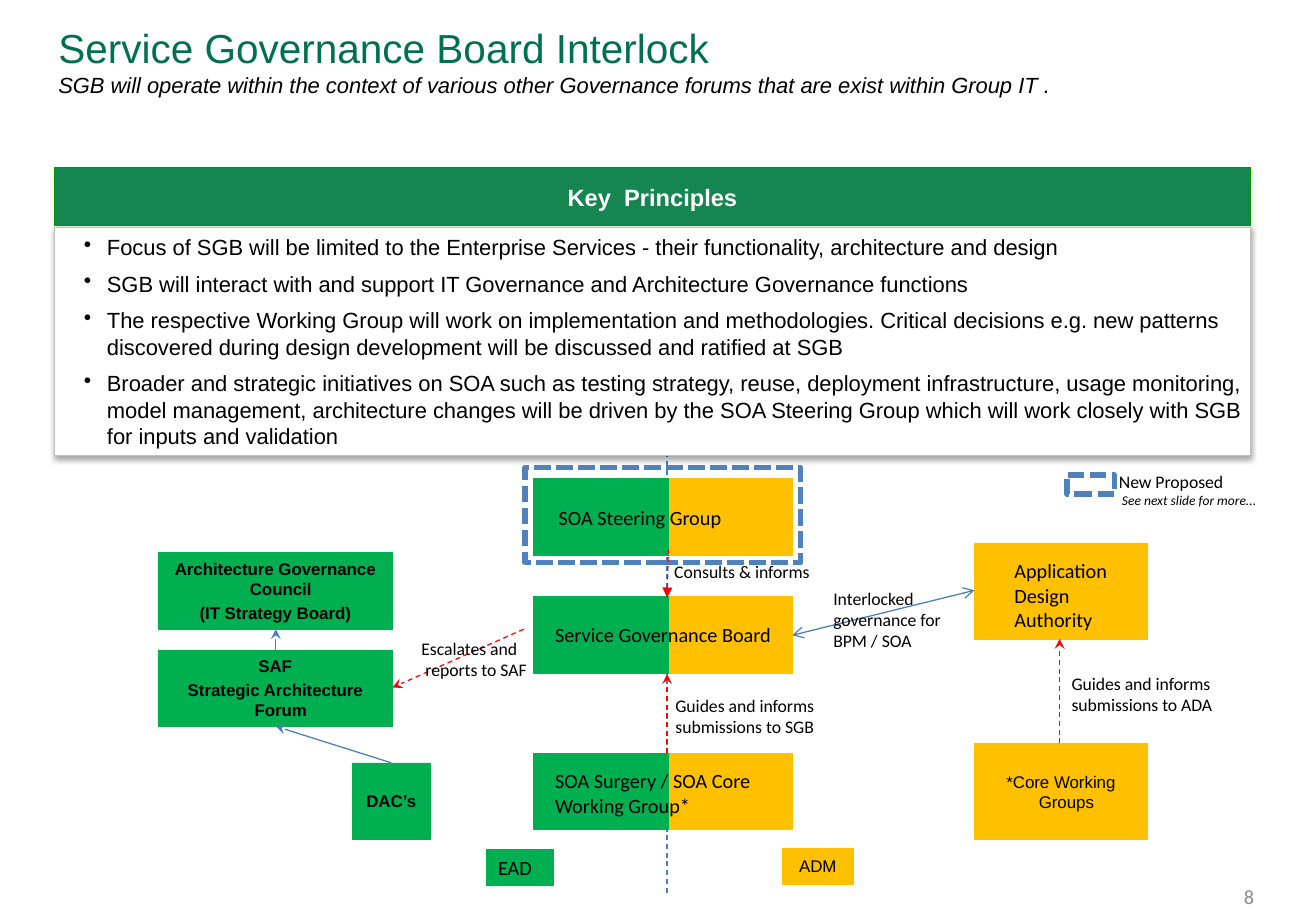
import pptx
import pptx.util
import pptx.dml.color
import pptx.enum.dml
import pptx.enum.shapes
import pptx.enum.text
import pptx.oxml
import pptx.oxml.ns

COLUMNS, ROWS = 108.3, 75  # square grid cells
CELL = 0.1  # inches
GREEN, AMBER, BLUE, RED = "00B050", "FFC000", "4B7EBC", "FF0000"
BLACK, WHITE, PROPOSED = "000000", "FFFFFF", "4F81BD"
ALIGN = pptx.enum.text.PP_ALIGN
ANCHOR = pptx.enum.text.MSO_ANCHOR
DASH = pptx.enum.dml.MSO_LINE

PRINCIPLES = [
    "Focus of SGB will be limited to the Enterprise Services - their functionality, "
    "architecture and design",
    "SGB will interact with and support IT Governance and Architecture Governance functions",
    "The respective Working Group will work on implementation and methodologies. Critical "
    "decisions e.g. new patterns discovered during design development will be discussed "
    "and ratified at SGB",
    "Broader and strategic initiatives on SOA such as testing strategy, reuse, deployment "
    "infrastructure, usage monitoring, model management, architecture changes will be driven "
    "by the SOA Steering Group which will work closely with SGB for inputs and validation",
]


def grid(*cells):
    return [pptx.util.Inches(cell * CELL) for cell in cells]


def rgb(color):
    return pptx.dml.color.RGBColor.from_string(color)


def add_xml(parent, tag, content="", **attributes):
    listed = "".join(f' {name}="{value}"' for name, value in attributes.items())
    parent.append(pptx.oxml.parse_xml(
        f'<a:{tag} {pptx.oxml.ns.nsdecls("a")}{listed}>{content}</a:{tag}>'))


def set_font(font, size, name="Arial", color=BLACK, bold=False, italic=False):
    font.size, font.name = pptx.util.Pt(size), name
    font.bold, font.italic = bold, italic
    font.color.rgb = rgb(color)


def write(shape, lines, size, name="Arial", color=BLACK, bold=False, align=ALIGN.LEFT,
          anchor=ANCHOR.TOP, space=0, indent=None, bullet=False):
    frame = shape.text_frame
    frame.word_wrap, frame.vertical_anchor = True, anchor
    frame.text = "\n".join(lines)
    for paragraph in frame.paragraphs:
        paragraph.alignment, paragraph.space_before = align, pptx.util.Pt(space)
        set_font(paragraph.font, size, name, color, bold)
        properties = paragraph._p.get_or_add_pPr()
        if indent:
            margin, first = grid(*indent)
            properties.set("marL", str(margin))
            properties.set("indent", str(first))
        if bullet:
            properties.insert_element_before(pptx.oxml.parse_xml(
                f'<a:buChar {pptx.oxml.ns.nsdecls("a")} char="•"/>'), "a:defRPr")
    return frame


def set_insets(frame, across, down):
    frame.margin_left = frame.margin_right = grid(across)[0]
    frame.margin_top = frame.margin_bottom = grid(down)[0]


def add_box(slide, place, fill=None, line=None, width=0.25, dash=None):
    shape = slide.shapes.add_shape(pptx.enum.shapes.MSO_SHAPE.RECTANGLE, *grid(*place))
    shape.shadow.inherit = False
    if fill:
        shape.fill.solid()
        shape.fill.fore_color.rgb = rgb(fill)
    else:
        shape.fill.background()
    shape.line.color.rgb = rgb(line or fill)
    shape.line.width = pptx.util.Pt(width)
    if dash:
        shape.line.dash_style = dash
    return shape


def add_forum(slide, place, fill, lines, bold=False):
    write(add_box(slide, place, fill), lines, 10, bold=bold, align=ALIGN.CENTER,
          anchor=ANCHOR.MIDDLE, space=2, indent=(0.9, -0.9))


def add_label(slide, place, lines, size=10.5, **options):
    label = slide.shapes.add_textbox(*grid(*place))
    return write(label, lines, size, "Calibri", **options)


def add_shared_forum(slide, top, text, label_left, label_top):
    """Box shared by both departments, green half in front of the amber half."""
    add_box(slide, (52.6, top, 12.6, 6.3), AMBER)
    add_box(slide, (43.9, top, 11.1, 6.3), GREEN)
    add_label(slide, (label_left, label_top, 21.4, 3), [text], 12)


def add_arrow(slide, start, end, color, dash=None, head=None, tail=None):
    connector = slide.shapes.add_connector(
        pptx.enum.shapes.MSO_CONNECTOR.STRAIGHT, *grid(*start, *end))
    connector.line.color.rgb = rgb(color)
    connector.line.width = pptx.util.Pt(0.75)
    if dash:
        connector.line.dash_style = dash
    for tag, kind in (("headEnd", head), ("tailEnd", tail)):
        if kind:
            add_xml(connector.line._get_or_add_ln(), tag, type=kind)
    add_xml(connector._element.spPr, "effectLst")


def add_shadow(shape, color, opacity, blur, distance):
    effects = shape._element.spPr.find(pptx.oxml.ns.qn("a:effectLst"))
    add_xml(effects, "outerShdw",
            f'<a:srgbClr val="{color}"><a:alpha val="{opacity * 1000}"/></a:srgbClr>',
            blurRad=pptx.util.Pt(blur), dist=pptx.util.Pt(distance), dir=90 * 60000,
            algn="t", rotWithShape=0)


def add_title(slide):
    title = slide.shapes.title
    title.left, title.top, title.width, title.height = grid(3.8, 1.4, 87.6, 9.7)
    frame = title.text_frame
    frame.auto_size = pptx.enum.text.MSO_AUTO_SIZE.NONE
    frame.vertical_anchor = ANCHOR.TOP
    paragraph = frame.paragraphs[0]
    paragraph.alignment = ALIGN.LEFT
    heading = paragraph.add_run()
    heading.text = "Service Governance Board Interlock"
    set_font(heading.font, 24, color="00714F")
    paragraph.add_line_break()
    subtitle = paragraph.add_run()
    subtitle.text = ("SGB will operate within the context of various other Governance forums "
                     "that are exist within Group IT .")
    set_font(subtitle.font, 13, italic=True)


def add_principles(slide):
    header = add_box(slide, (4.5, 13.8, 98.4, 4.8), "15864F", "009900", 0.75)
    add_shadow(header, "EEECE1", 100, 4, 4)
    set_insets(write(header, ["Key  Principles"], 14, color=WHITE, bold=True,
                     align=ALIGN.CENTER, anchor=ANCHOR.MIDDLE), 0, 0.8)
    panel = add_box(slide, (4.5, 18.7, 98.4, 18.8), WHITE, "BFBFBF", 0.75)
    add_shadow(panel, "000000", 35, 3.1, 1.8)
    set_insets(write(panel, PRINCIPLES, 13, anchor=ANCHOR.MIDDLE, space=6,
                     indent=(3.9, -1.9), bullet=True), 0.4, 0.5)


def add_forums(slide):
    # Architecture forums
    add_forum(slide, (13, 45.5, 19.3, 6.3), GREEN,
              ["Architecture Governance Council", "(IT Strategy Board)"], True)
    add_forum(slide, (13, 53.5, 19.3, 6.3), GREEN, ["SAF", "Strategic Architecture Forum"], True)
    add_forum(slide, (29, 62.8, 6.4, 6.3), GREEN, ["DAC’s"], True)
    # Shared forums
    add_shared_forum(slide, 39.4, "SOA Steering Group", 45, 41.1)
    add_shared_forum(slide, 49.1, "Service Governance Board", 44.7, 50.7)
    add_shared_forum(slide, 62, "SOA Surgery / SOA Core Working Group*", 44.7, 62.8)
    add_box(slide, (43.2, 38.5, 22.7, 7.8), None, PROPOSED, 3.25, DASH.SQUARE_DOT)
    # Application forums
    add_box(slide, (80.2, 44.7, 14.2, 7.9), AMBER)
    add_label(slide, (82.5, 45.5, 11, 7.1), ["Application", "Design", "Authority"], 12)
    add_forum(slide, (80.2, 61.2, 14.2, 7.9), AMBER, ["*Core Working Groups"])
    # Department keys
    write(add_box(slide, (40, 69.9, 5.5, 3), GREEN), ["EAD"], 12, "Calibri")
    add_forum(slide, (64.4, 69.8, 5.8, 3), AMBER, ["ADM"])


def add_flows(slide):
    add_arrow(slide, (32.2, 62.8), (22.7, 59.8), BLUE, tail="stealth")
    add_arrow(slide, (22.7, 53.5), (22.7, 51.8), BLUE, tail="stealth")
    add_arrow(slide, (65.2, 52.3), (80.2, 48.6), BLUE, head="arrow", tail="arrow")
    for start, end in (((43.1, 51.8), (32.3, 56.6)),
                       ((54.9, 62), (54.9, 55.5)),
                       ((87.2, 61.2), (87.2, 52.6))):
        add_arrow(slide, start, end, RED, DASH.DASH, tail="stealth")
    add_arrow(slide, (54.9, 49.2), (55, 45.3), RED, DASH.DASH, head="triangle")
    for place, lines in (
            ((33.7, 52, 11, 4.5), ["Escalates and", " reports to SAF"]),
            ((54.6, 56.7, 14.2, 4.5), ["Guides and informs submissions to SGB"]),
            ((67.6, 47.9, 12.6, 6.3), ["Interlocked governance for", "BPM / SOA"]),
            ((87.2, 54.9, 14.2, 4.5), ["Guides and informs submissions to ADA"]),
            ((54.5, 45.7, 14.2, 2.8), ["Consults & informs"])):
        add_label(slide, place, lines)


def add_legend(slide):
    add_box(slide, (87.8, 39.1, 3.9, 1.6), WHITE, PROPOSED, 3.25, DASH.SQUARE_DOT)
    frame = add_label(slide, (91.1, 38.3, 14.2, 4.5),
                      ["New Proposed", " See next slide for more..."])
    set_font(frame.paragraphs[1].font, 8, "Calibri", italic=True)


def main():
    presentation = pptx.Presentation()
    presentation.slide_width, presentation.slide_height = grid(COLUMNS, ROWS)
    slide = presentation.slides.add_slide(presentation.slide_layouts[5])
    add_title(slide)
    # Divider between the two departments, behind the boxes
    add_arrow(slide, (54.9, 35.1), (54.9, 73.7), BLUE, DASH.DASH)
    add_principles(slide)
    add_forums(slide)
    add_flows(slide)
    add_legend(slide)
    # Slide number
    add_label(slide, (78.9, 71.8, 25.3, 4), ["8"], 12, color="8C8C8C",
              align=ALIGN.RIGHT, anchor=ANCHOR.MIDDLE)
    presentation.save("out.pptx")


main()
